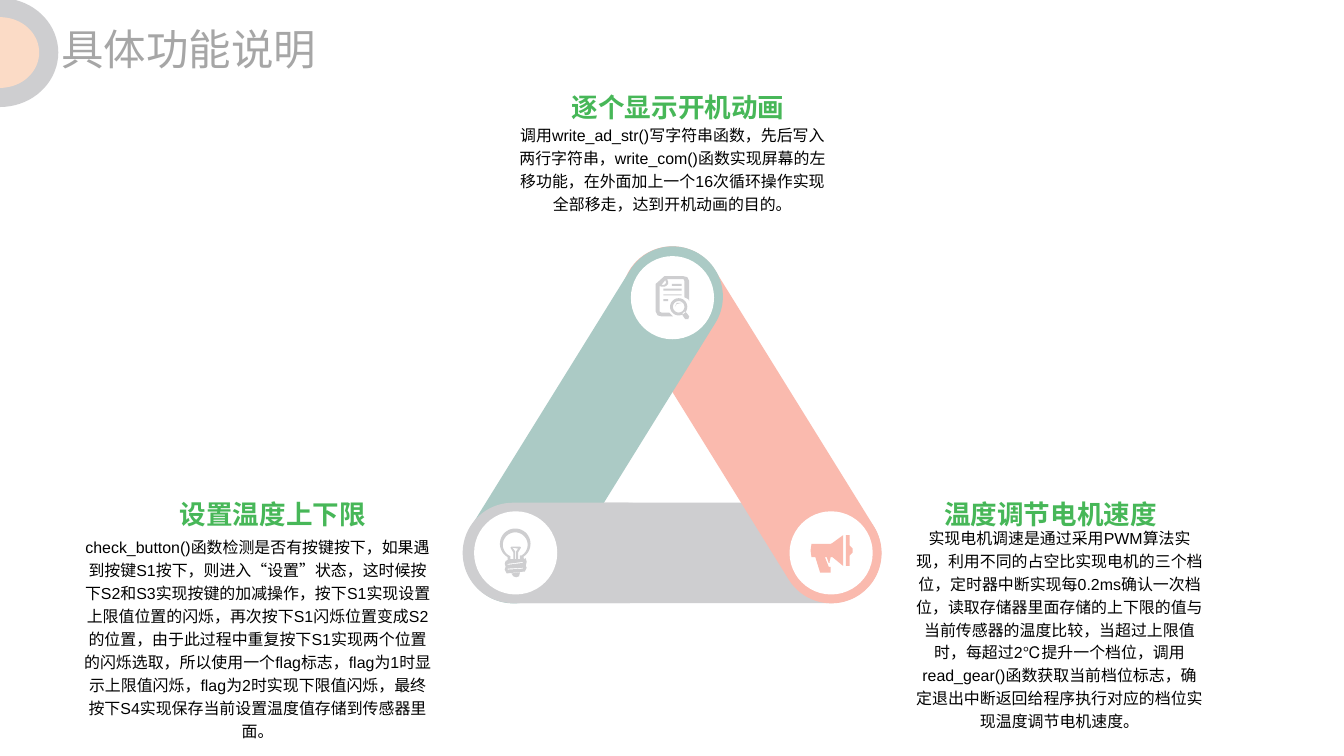
from math import cos, radians, sin
from pptx import Presentation
from pptx.dml.color import RGBColor
from pptx.enum.lang import MSO_LANGUAGE_ID
from pptx.enum.shapes import MSO_SHAPE
from pptx.enum.text import MSO_ANCHOR, PP_ALIGN
from pptx.util import Inches, Pt

# Content
TITLE = "具体功能说明"
# heading, its box, body, its box
FEATURES = [
    ("温度调节电机速度", (9.47, 5.09, 3.04, 0.48),
     "实现电机调速是通过采用PWM算法实现，利用不同的占空比实现电机的三个档位，"
     "定时器中断实现每0.2ms确认一次档位，读取存储器里面存储的上下限的值与当前传感器的温度比较，"
     "当超过上限值时，每超过2℃提升一个档位，调用read_gear()函数获取当前档位标志，"
     "确定退出中断返回给程序执行对应的档位实现温度调节电机速度。", (9.47, 5.44, 3.23, 2.26)),
    ("逐个显示开机动画", (5.57, 0.84, 3.05, 0.48),
     "调用write_ad_str()写字符串函数，先后写入两行字符串，write_com()函数实现屏幕的左移功能，"
     "在外面加上一个16次循环操作实现全部移走，达到开机动画的目的。", (5.27, 1.23, 3.53, 1.05)),
    ("设置温度上下限", (1.11, 5.09, 3.49, 0.48),
     "check_button()函数检测是否有按键按下，如果遇到按键S1按下，则进入“设置”状态，"
     "这时候按下S2和S3实现按键的加减操作，按下S1实现设置上限值位置的闪烁，"
     "再次按下S1闪烁位置变成S2的位置，由于此过程中重复按下S1实现两个位置的闪烁选取，"
     "所以使用一个flag标志，flag为1时显示上限值闪烁，flag为2时实现下限值闪烁，"
     "最终按下S4实现保存当前设置温度值存储到传感器里面。", (0.77, 5.54, 3.85, 2.02)),
]
GREY, PINK, TEAL, PEACH = "CECED0", "FABAAE", "ABCAC5", "FBDBC6"
GREEN, TITLE_GREY, BLACK, WHITE = "47B758", "A6A6A6", "000000", "FFFFFF"
# left, top, width, rotation, colour
BAND_HEIGHT = 1.05
BANDS = [(4.86, 5.26, 4.36, 0, GREY), (5.76, 3.92, 4.21, 58.2, PINK),
         (4.1, 3.92, 4.21, 301.8, TEAL), (4.84, 5.26, 2.25, 0, GREY)]
DISC_SIZE = 0.87
DISCS = [(6.6, 2.68), (4.96, 5.35), (8.26, 5.35)]


# Outline helpers, in inches
def arc(cx, cy, rx, ry, start, end, steps=36):
    angles = [radians(start + (end - start) * i / steps) for i in range(steps + 1)]
    return [(cx + rx * cos(a), cy + ry * sin(a)) for a in angles]


def box(left, top, right, bottom):
    return [(left, top), (right, top), (right, bottom), (left, bottom)]


# Icons: outlines, inner ones cut holes
DOCUMENT = [
    [(6.96, 2.89), (7.15, 2.89), (7.19, 2.9), (7.21, 2.94), (7.21, 3.15), (7.2, 3.13),
     (7.16, 3.11), (7.16, 2.94), (7.15, 2.92), (6.98, 2.92), (6.99, 2.95), (6.99, 2.97),
     (6.97, 2.99), (6.95, 3), (6.92, 3), (6.9, 2.99), (6.9, 3.26), (6.92, 3.27), (7, 3.27),
     (7.04, 3.31), (6.92, 3.31), (6.88, 3.3), (6.86, 3.26), (6.86, 2.97), (6.95, 2.89)],
    [(6.96, 2.93), (6.92, 2.98), (6.95, 2.98), (6.97, 2.96)],
    box(7.03, 2.97, 7.13, 2.99), box(6.94, 3.02, 7.13, 3.04),
    box(6.94, 3.08, 7.13, 3.09), box(6.94, 3.13, 6.99, 3.15),
    arc(7.1, 3.21, 0.09, 0.09, 0, 360), arc(7.1, 3.21, 0.06, 0.06, 0, 360),
    [(7.06, 3.21), (7.08, 3.18), (7.13, 3.17), (7.08, 3.17)],
    [(7.14, 3.28), (7.14, 3.3), (7.17, 3.34), (7.2, 3.34), (7.21, 3.31), (7.18, 3.27),
     (7.16, 3.26)],
]
BULB = [
    arc(5.39, 5.69, 0.16, 0.16, 57, -237)
    + [(5.31, 5.83), (5.31, 5.86), (5.29, 5.87), (5.28, 5.9), (5.29, 5.93), (5.28, 5.96),
       (5.3, 6), (5.49, 5.98), (5.51, 5.94), (5.5, 5.92), (5.51, 5.88), (5.5, 5.84),
       (5.48, 5.85)],
    arc(5.39, 5.7, 0.13, 0.13, 62, -242)
    + [(5.34, 5.82), (5.34, 5.85), (5.37, 5.85), (5.37, 5.78), (5.34, 5.73), (5.35, 5.72),
       (5.44, 5.72), (5.45, 5.73), (5.42, 5.78), (5.42, 5.85), (5.44, 5.85), (5.44, 5.81)],
    [(5.36, 5.73), (5.39, 5.77), (5.39, 5.85), (5.4, 5.85), (5.4, 5.77), (5.42, 5.74)],
    [(5.31, 5.9), (5.47, 5.88), (5.47, 5.89), (5.31, 5.91)],
    [(5.31, 5.95), (5.47, 5.94), (5.47, 5.95), (5.31, 5.96)],
    [(5.44, 5.99), (5.35, 6), (5.37, 6.03), (5.4, 6.04), (5.43, 6.03)],
]
MEGAPHONE = [
    [(8.49, 5.69), (8.69, 5.69), (8.71, 5.68), (8.82, 5.6), (8.82, 5.92), (8.71, 5.83),
     (8.63, 5.83), (8.67, 5.93), (8.69, 5.93), (8.69, 5.99), (8.58, 5.99), (8.53, 5.83),
     (8.49, 5.83), (8.48, 5.76)],
    [(8.89, 5.71), (8.92, 5.74), (8.92, 5.78), (8.89, 5.81), (8.89, 5.92), (8.85, 5.92),
     (8.85, 5.6), (8.89, 5.6)],
    [(8.69, 5.83), (8.65, 5.83), (8.67, 5.89), (8.68, 5.89), (8.68, 5.87)],
]
ICONS = [(DOCUMENT, GREY), (BULB, GREY), (MEGAPHONE, PINK)]
CORNER = [([arc(0, 0.55, 0.61, 0.57, -90, 90)], GREY),
          ([arc(0, 0.55, 0.41, 0.37, -90, 90)], PEACH)]

presentation = Presentation()
presentation.slide_width, presentation.slide_height = Inches(14.06), Inches(7.91)
slide = presentation.slides.add_slide(presentation.slide_layouts[6])


def paint(shape, colour):
    shape.shadow.inherit = False
    shape.fill.solid()
    shape.fill.fore_color.rgb = RGBColor.from_string(colour)
    shape.line.fill.background()
    return shape


def add_preset(kind, left, top, width, height, colour):
    place = [Inches(v) for v in (left, top, width, height)]
    return paint(slide.shapes.add_shape(kind, *place), colour)


def add_outline(contours, colour):
    contours = [[(Inches(x), Inches(y)) for x, y in contour] for contour in contours]
    builder = slide.shapes.build_freeform(*contours[0][0], scale=1.0)
    for i, contour in enumerate(contours):
        if i:
            builder.move_to(*contour[0])
        builder.add_line_segments(contour[1:], close=True)
    return paint(builder.convert_to_shape(), colour)


def add_text(text, place, size, colour, bold=False, align=PP_ALIGN.CENTER, spacing=1.2,
             anchor=MSO_ANCHOR.TOP, inset=None):
    frame = slide.shapes.add_textbox(*[Inches(v) for v in place]).text_frame
    frame.word_wrap = True
    frame.vertical_anchor = anchor
    if inset is not None:
        frame.margin_left = frame.margin_right = Inches(inset)
        frame.margin_top = frame.margin_bottom = Inches(inset)
    paragraph = frame.paragraphs[0]
    paragraph.alignment, paragraph.line_spacing = align, spacing
    # Keep punctuation inside the box
    paragraph._p.get_or_add_pPr().set("hangingPunct", "0")
    run = paragraph.add_run()
    run.text = text
    run.font.name, run.font.size, run.font.bold = "Arial", Pt(size), bold
    run.font.language_id = MSO_LANGUAGE_ID.SIMPLIFIED_CHINESE
    run.font.color.rgb = RGBColor.from_string(colour)


# Triangle of rounded bands
for left, top, width, rotation, colour in BANDS:
    band = add_preset(MSO_SHAPE.ROUNDED_RECTANGLE, left, top, width, BAND_HEIGHT, colour)
    band.adjustments[0] = 0.5
    band.rotation = rotation

# White discs and their icons
for left, top in DISCS:
    add_preset(MSO_SHAPE.OVAL, left, top, DISC_SIZE, DISC_SIZE, WHITE)
for contours, colour in ICONS:
    add_outline(contours, colour)

# Feature texts
for heading, heading_place, body, body_place in FEATURES:
    add_text(heading, heading_place, 20, GREEN, bold=True)
    add_text(body, body_place, 12, BLACK)

# Title and corner ornament
add_text(TITLE, (0.64, 0.24, 4.32, 0.54), 32, TITLE_GREY, align=PP_ALIGN.LEFT,
         spacing=1.0, anchor=MSO_ANCHOR.MIDDLE, inset=0)
for contours, colour in CORNER:
    add_outline(contours, colour)

presentation.save("out.pptx")
